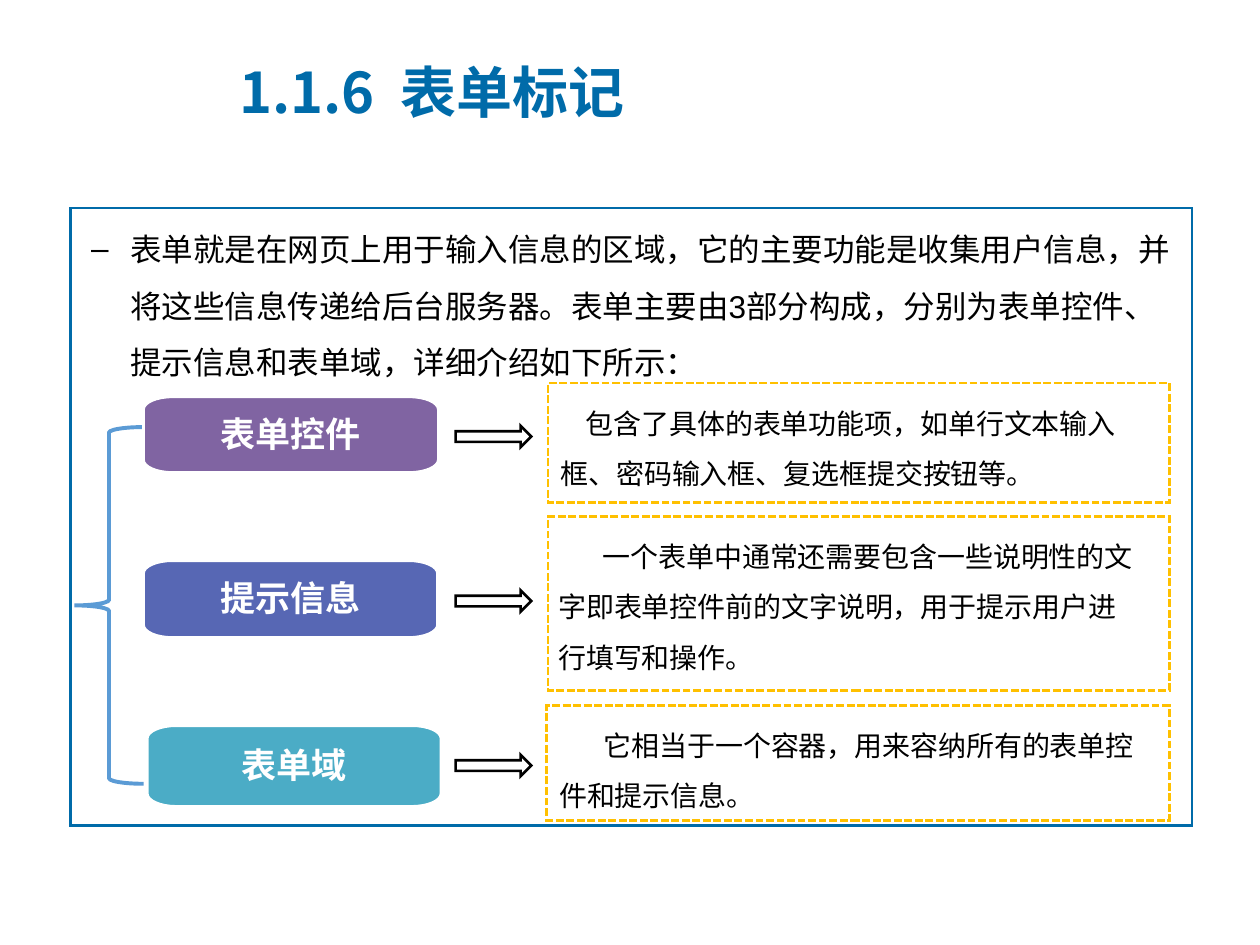
from dataclasses import dataclass

from lxml import etree
from pptx import Presentation
from pptx.dml.color import RGBColor
from pptx.enum.dml import MSO_LINE
from pptx.enum.shapes import MSO_SHAPE
from pptx.enum.text import MSO_ANCHOR, MSO_AUTO_SIZE, PP_ALIGN
from pptx.oxml.ns import qn
from pptx.util import Pt

RECT, ARROW, BRACE = MSO_SHAPE.RECTANGLE, MSO_SHAPE.RIGHT_ARROW, MSO_SHAPE.LEFT_BRACE
TOP, MIDDLE = MSO_ANCHOR.TOP, MSO_ANCHOR.MIDDLE
LEFT, CENTER = PP_ALIGN.LEFT, PP_ALIGN.CENTER
DASH = MSO_LINE.SQUARE_DOT
NO_FIT = MSO_AUTO_SIZE.NONE

CJK = "Noto Sans CJK SC"
BLUE, WHITE, BLACK, GOLD, SKY = "006BA9", "FFFFFF", "000000", "FFC000", "5B9BD5"
CORNER_W, CORNER_H, ARC = 16.5, 7.3, 0.55
ARROW_X, ARROW_Y, ARROW_W, ARROW_H, ARROW_PITCH = 260.4, 243.4, 43.2, 12.2, 94


@dataclass
class Box:
    x: float
    y: float
    w: float
    h: float

    def emu(self):
        return Pt(self.x), Pt(self.y), Pt(self.w), Pt(self.h)


@dataclass
class FormPart:
    name: str
    color: str
    pill: Box
    detail: str
    frame: Box
    font: str
    indent: float
    margin_left: float
    margin_right: float


PARTS = [
    FormPart("表单控件", "8064A2", Box(82, 226.8, 168.5, 43.2),
             "包含了具体的表单功能项，如单行文本输入框、密码输入框、复选框提交按钮等。",
             Box(313.2, 218.9, 355, 68.4), "Arial", 14.4, 7.2, 27.4),
    FormPart("提示信息", "5767B4", Box(82, 320.4, 168, 43.9),
             "一个表单中通常还需要包含一些说明性的文字即表单控件前的文字说明，用于提示用户进行填写和操作。",
             Box(313.2, 295.2, 355, 99.4), "Calibri", 25.4, 5.8, 15.8),
    FormPart("表单域", "4BACC6", Box(84.2, 414.7, 167.8, 46.1),
             "它相当于一个容器，用来容纳所有的表单控件和提示信息。",
             Box(312.5, 403.2, 355.7, 65.5), "Calibri", 25.4, 7.2, 7.2),
]


def rgb(color: str) -> RGBColor:
    return RGBColor.from_string(color)


def style(sp, fill: str | None, line: str, width: float = 1.5) -> None:
    sp.shadow.inherit = False
    if fill:
        sp.fill.solid()
        sp.fill.fore_color.rgb = rgb(fill)
    else:
        sp.fill.background()
    sp.line.color.rgb = rgb(line)
    sp.line.width = Pt(width)
    ln = sp._element.spPr.find(qn("a:ln"))
    etree.SubElement(ln, qn("a:miter")).set("lim", "800000")


def write(sp, text: str, size: float, font: str, color: str, bold: bool = False,
          align=LEFT, anchor=TOP, spacing: float = 1.0):
    """Fill the shape with one formatted paragraph and return that paragraph."""
    tf = sp.text_frame
    tf.text = text
    tf.word_wrap = True
    tf.auto_size = NO_FIT
    tf.vertical_anchor = anchor
    p = tf.paragraphs[0]
    p.alignment = align
    p.line_spacing = spacing
    for r in p.runs:
        r.font.size = Pt(size)
        r.font.name = font
        r.font.bold = bold
        r.font.color.rgb = rgb(color)
        ea = etree.SubElement(r.font._element, qn("a:ea"))
        ea.set("typeface", CJK)
    return p


def set_indent(p, left: float, first: float, bullet: str | None = None) -> None:
    p_pr = p._p.get_or_add_pPr()
    p_pr.set("marL", str(Pt(left)))
    p_pr.set("indent", str(Pt(first)))
    if bullet:
        etree.SubElement(p_pr, qn("a:buFont")).set("typeface", "Arial")
        etree.SubElement(p_pr, qn("a:buChar")).set("char", bullet)


def round_corners(sp) -> None:
    """Turn every other edge of the outline into a quarter ellipse."""
    path = sp._element.find(".//" + qn("a:path"))
    points = [(int(pt.get("x")), int(pt.get("y"))) for pt in path.iter(qn("a:pt"))]
    edges = path.findall(qn("a:lnTo"))
    for i in range(0, len(edges), 2):
        (x0, y0), (x1, y1) = points[i], points[i + 1]
        cx, cy = (x0, y1) if i % 4 == 0 else (x1, y0)
        curve = etree.Element(qn("a:cubicBezTo"))
        controls = [(x + ARC * (cx - x), y + ARC * (cy - y))
                    for x, y in ((x0, y0), (x1, y1))]
        for x, y in controls + [(x1, y1)]:
            etree.SubElement(curve, qn("a:pt"), x=str(round(x)), y=str(round(y)))
        path.replace(edges[i], curve)


def add_pill(s, box: Box, fill: str):
    left, top, right, bottom = box.x, box.y, box.x + box.w, box.y + box.h
    outline = [
        (left, top + CORNER_H), (left + CORNER_W, top),
        (right - CORNER_W, top), (right, top + CORNER_H),
        (right, bottom - CORNER_H), (right - CORNER_W, bottom),
        (left + CORNER_W, bottom), (left, bottom - CORNER_H),
    ]
    points = [(Pt(x), Pt(y)) for x, y in outline]
    builder = s.shapes.build_freeform(*points[0])
    builder.add_line_segments(points[1:], close=True)
    sp = builder.convert_to_shape()
    round_corners(sp)
    style(sp, fill, WHITE)
    return sp


def add_part(s, row: int, part: FormPart) -> None:
    """Draw one row: named pill, arrow and framed explanation."""
    pill = add_pill(s, part.pill, part.color)
    p = write(pill, part.name, 20, CJK, WHITE, True, CENTER, MIDDLE)
    pill.text_frame.margin_bottom = Pt(5)
    set_indent(p, 0, 0)

    arrow_box = Box(ARROW_X, ARROW_Y + row * ARROW_PITCH, ARROW_W, ARROW_H)
    arrow = s.shapes.add_shape(ARROW, *arrow_box.emu())
    style(arrow, None, BLACK)

    frame = s.shapes.add_shape(RECT, *part.frame.emu())
    style(frame, WHITE, GOLD)
    frame.line.dash_style = DASH
    p = write(frame, part.detail, 16, part.font, BLACK, spacing=1.5)
    set_indent(p, 0, part.indent)
    frame.text_frame.margin_left = Pt(part.margin_left)
    frame.text_frame.margin_right = Pt(part.margin_right)


def main() -> None:
    prs = Presentation()
    prs.slide_width, prs.slide_height = Pt(720), Pt(540)
    s = prs.slides.add_slide(prs.slide_layouts[5])

    title = s.shapes.title
    title.left, title.top, title.width, title.height = Box(129.4, 30.4, 525.6, 43.9).emu()
    write(title, "1.1.6  表单标记", 32, CJK, BLUE, True, anchor=MIDDLE)

    panel = s.shapes.add_shape(RECT, *Box(40.3, 118.8, 640.8, 352.8).emu())
    style(panel, WHITE, BLUE)

    overview = s.shapes.add_textbox(*Box(45, 117, 632.9, 134.6).emu())
    p = write(overview,
              "表单就是在网页上用于输入信息的区域，它的主要功能是收集用户信息，并将这些信息传递给后台服务器。"
              "表单主要由3部分构成，分别为表单控件、提示信息和表单域，详细介绍如下所示：",
              18, "Arial", BLACK, spacing=1.5)
    set_indent(p, 22.3, -22.3, "–")

    brace = s.shapes.add_shape(BRACE, *Box(42.5, 244.1, 39.6, 203.8).emu())
    brace.adjustments[0] = 0.08
    style(brace, None, SKY, 2.25)

    for row, part in enumerate(PARTS):
        add_part(s, row, part)

    prs.save("out.pptx")


if __name__ == "__main__":
    main()
